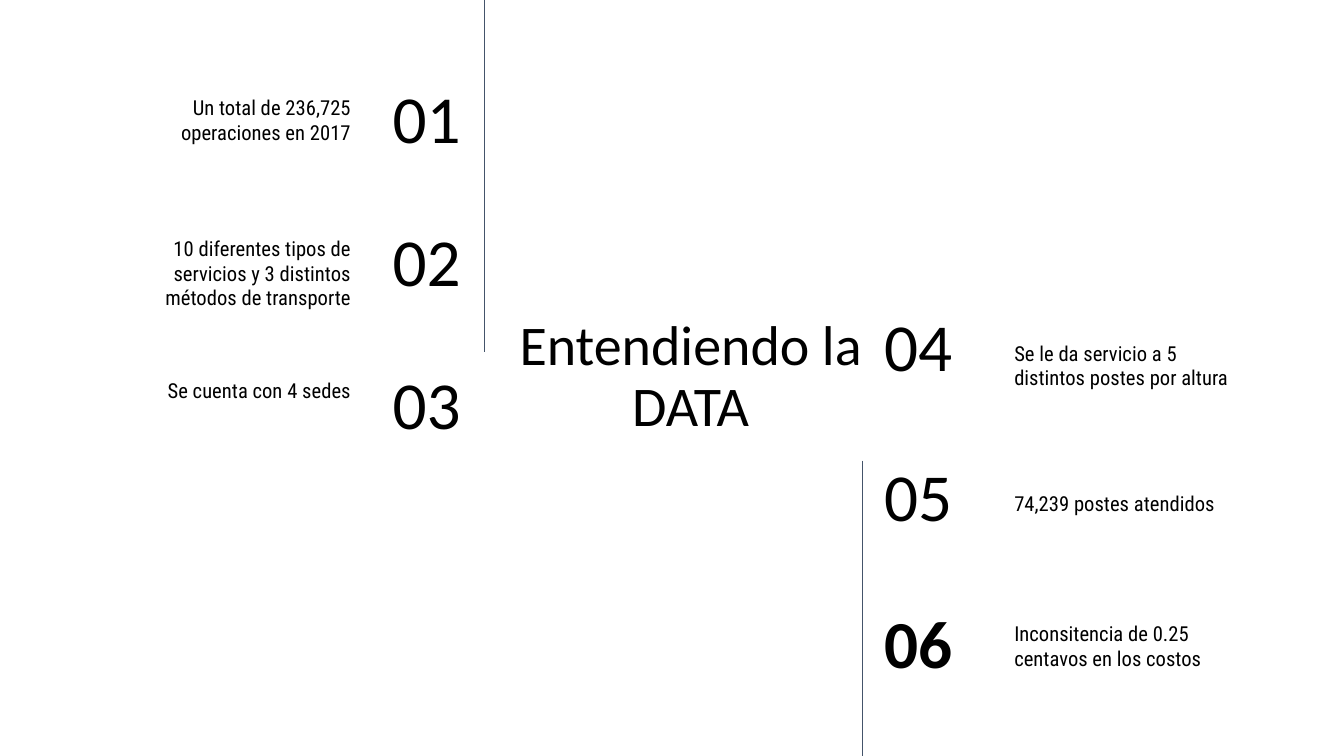
"""Build the "Entendiendo la DATA" slide with six numbered facts around a title."""
from dataclasses import dataclass

from lxml import etree
from pptx import Presentation
from pptx import util as u
from pptx.dml import color
from pptx.enum import shapes, text
from pptx.oxml import ns


@dataclass(frozen=True)
class Theme:
    ink: str = "000000"
    rule: str = "44546A"
    background: str = "FFFFFF"
    heading_font: str = "Calibri"
    body_font: str = "Roboto Condensed"
    title_size: float = 40
    number_size: float = 48
    body_size: float = 14.7
    rule_width: float = 0.75
    inset: float = 0.13


THEME = Theme()
SLIDE_WIDTH, SLIDE_HEIGHT = 13.33, 7.5
TITLE = "Entendiendo la DATA"
TITLE_AREA = (4.94, 3.06, 3.82, 1.38)
NUMBER_HEIGHT, FACT_WIDTH, FACT_HEIGHT = 0.84, 2.44, 0.83

COLUMNS = [
    {
        "align": text.PP_ALIGN.RIGHT,
        "number_left": 3.08, "number_width": 1.62, "fact_left": 1.17,
        "rule": (4.81, 0, 3.49),
        "facts": [
            ("01", 0.79, 0.81, "Un total de 236,725 operaciones en 2017"),
            ("02", 2.21, 2.21, "10 diferentes tipos de servicios y 3 distintos métodos de transporte"),
            ("03", 3.63, 3.62, "Se cuenta con 4 sedes"),
        ],
    },
    {
        "align": text.PP_ALIGN.LEFT,
        "number_left": 8.64, "number_width": 1.56, "fact_left": 9.93,
        "rule": (8.55, 4.57, SLIDE_HEIGHT),
        "facts": [
            ("04", 3.05, 3.25, "Se le da servicio a 5 distintos postes por altura"),
            ("05", 4.54, 4.74, "74,239 postes atendidos"),
            ("06", 5.95, 6.03, "Inconsitencia de 0.25 centavos en los costos"),
        ],
    },
]
BOLD_NUMBERS = {"06"}


def write(box, words, font, size, align, anchor, spacing=1.0, bold=False):
    frame = box.text_frame
    frame.text = words
    frame.word_wrap = True
    frame.auto_size = text.MSO_AUTO_SIZE.NONE
    frame.vertical_anchor = anchor
    frame.margin_left = frame.margin_right = u.Inches(THEME.inset)
    frame.margin_top = frame.margin_bottom = u.Inches(THEME.inset)
    para = frame.paragraphs[0]
    para.alignment = align
    para.line_spacing = spacing
    para.space_before = u.Pt(0)
    span = para.runs[0]
    span.font.name = font
    span.font.size = u.Pt(size)
    span.font.bold = bold
    span.font.color.rgb = color.RGBColor.from_string(THEME.ink)


def add_text(slide, area, *style, **options):
    box = slide.shapes.add_textbox(*map(u.Inches, area))
    write(box, *style, **options)


def add_rule(slide, x, top, bottom):
    rule = slide.shapes.add_connector(
        shapes.MSO_CONNECTOR.STRAIGHT, *map(u.Inches, (x, top, x, bottom)))
    rule.line.color.rgb = color.RGBColor.from_string(THEME.rule)
    rule.line.width = u.Pt(THEME.rule_width)
    etree.SubElement(rule._element.spPr, ns.qn("a:effectLst"))


def add_title(slide):
    title = slide.shapes.title
    title.left, title.top, title.width, title.height = map(u.Inches, TITLE_AREA)
    write(title, TITLE, THEME.heading_font, THEME.title_size,
          text.PP_ALIGN.CENTER, text.MSO_ANCHOR.MIDDLE, spacing=0.9)


def add_column(slide, column):
    add_rule(slide, *column["rule"])
    for number, number_top, fact_top, fact in column["facts"]:
        bold = number in BOLD_NUMBERS
        add_text(slide, (column["number_left"], number_top, column["number_width"], NUMBER_HEIGHT),
                 number, THEME.heading_font, THEME.number_size, column["align"],
                 text.MSO_ANCHOR.MIDDLE, spacing=1.0 if bold else 0.9, bold=bold)
        add_text(slide, (column["fact_left"], fact_top, FACT_WIDTH, FACT_HEIGHT),
                 fact, THEME.body_font, THEME.body_size, column["align"], text.MSO_ANCHOR.TOP)


deck = Presentation()
deck.slide_width, deck.slide_height = u.Inches(SLIDE_WIDTH), u.Inches(SLIDE_HEIGHT)
page = deck.slides.add_slide(deck.slide_layouts.get_by_name("Title Only"))
page.background.fill.solid()
page.background.fill.fore_color.rgb = color.RGBColor.from_string(THEME.background)
add_title(page)
for side in COLUMNS:
    add_column(page, side)
deck.save("out.pptx")
